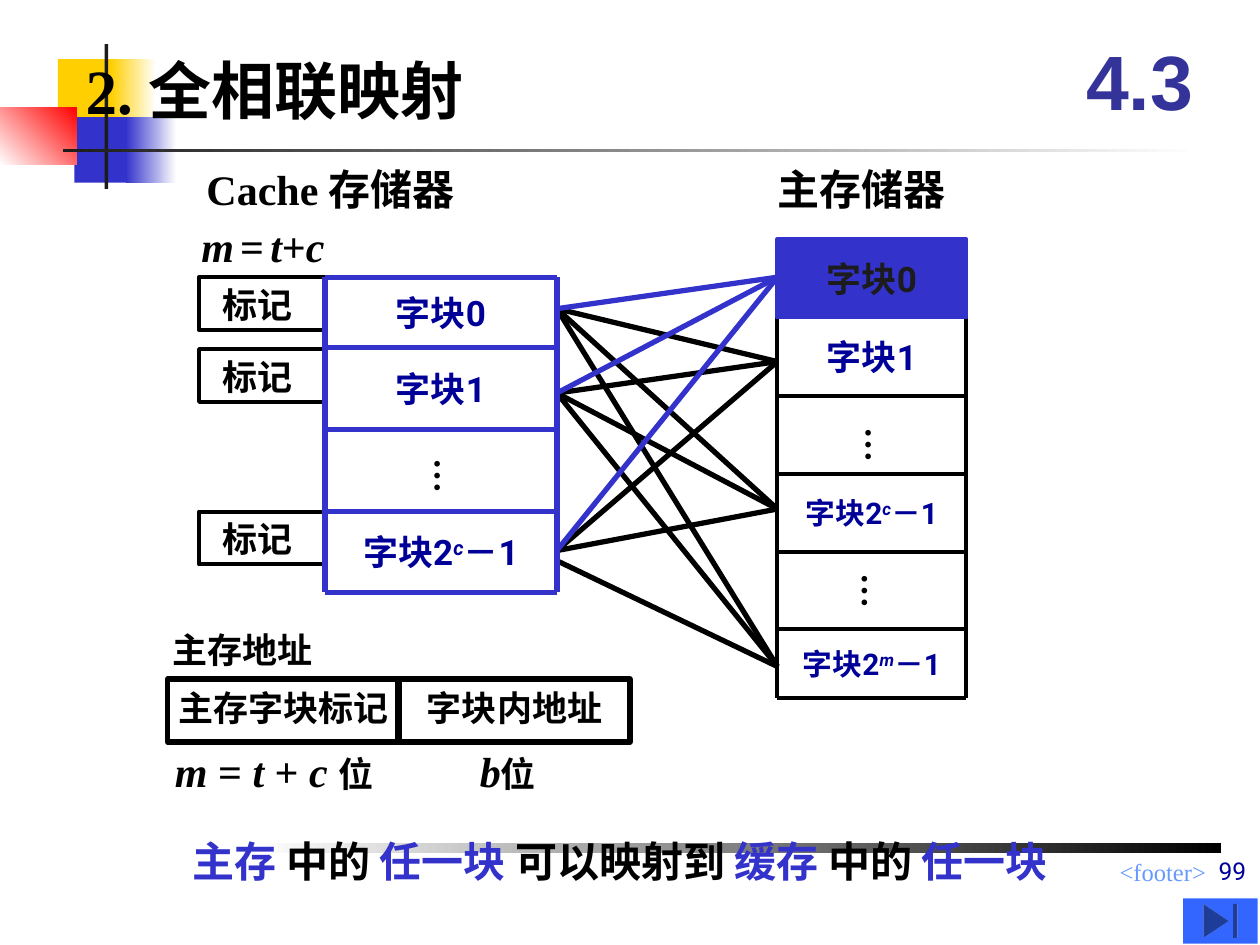
import pptx
import pptx.dml.color
import pptx.enum.shapes
import pptx.enum.text
import pptx.oxml
import pptx.oxml.ns
import pptx.util

Inches = pptx.util.Inches
Pt = pptx.util.Pt
RGBColor = pptx.dml.color.RGBColor
SHAPE = pptx.enum.shapes.MSO_SHAPE
ALIGN = pptx.enum.text.PP_ALIGN
ANCHOR = pptx.enum.text.MSO_ANCHOR

BLACK = RGBColor(0x00, 0x00, 0x00)
WHITE = RGBColor(0xFF, 0xFF, 0xFF)
CHARCOAL = RGBColor(0x1C, 0x1C, 0x1C)
YELLOW = RGBColor(0xFF, 0xCF, 0x01)
RED = RGBColor(0xFF, 0x00, 0x00)
BLUE = RGBColor(0x33, 0x33, 0xCC)
NAVY = RGBColor(0x00, 0x00, 0x99)
SECTION_BLUE = RGBColor(0x33, 0x33, 0x99)
BUTTON_BLUE = RGBColor(0x33, 0x66, 0xFF)
FOOTER_BLUE = RGBColor(0x66, 0x99, 0xFF)

SERIF = "Times New Roman"
CELL_FONT = "Roboto"

CACHE_LEFT, CACHE_RIGHT = 2.58, 4.42
CACHE_EDGES = [2.2, 2.76, 3.41, 4.06, 4.7]
MEMORY_LEFT, MEMORY_RIGHT = 6.17, 7.67
MEMORY_EDGES = [1.9, 2.52, 3.14, 3.76, 4.38, 4.99, 5.54]
CACHE_PORTS = [2.45, 3.12, 4.37]
MEMORY_PORTS = [2.87, 4.04, 5.29]
FIRST_BLOCK_PORT = 2.2


def write_text(shape, runs, size, font=SERIF, color=BLACK, bold=True,
               align=ALIGN.LEFT, anchor=ANCHOR.TOP, wrap=True, inset=(0.1, 0.05)):
    """Fill a shape with one paragraph; runs is a string or (text, options) pairs."""
    frame = shape.text_frame
    frame.word_wrap = wrap
    frame.auto_size = pptx.enum.text.MSO_AUTO_SIZE.NONE
    frame.vertical_anchor = anchor
    frame.margin_left = frame.margin_right = Inches(inset[0])
    frame.margin_top = frame.margin_bottom = Inches(inset[1])
    paragraph = frame.paragraphs[0]
    paragraph.alignment = align
    paragraph.font.size = Pt(size)
    paragraph.font.name = font
    paragraph.font.bold = bold
    paragraph.font.color.rgb = color
    for text, options in [(runs, {})] if isinstance(runs, str) else runs:
        run = paragraph.add_run()
        run.text = text
        if "size" in options:
            run.font.size = Pt(options["size"])
        if "color" in options:
            run.font.color.rgb = options["color"]
        if "italic" in options:
            run.font.italic = options["italic"]
        if "baseline" in options:
            run.font._element.set("baseline", str(options["baseline"]))
    return frame


def add_text(slide, box, runs, size, **options):
    shape = slide.shapes.add_textbox(*map(Inches, box))
    return write_text(shape, runs, size, **options)


def add_box(slide, box, fill=None, fade=None, line=None, width=2.25, kind=SHAPE.RECTANGLE):
    """Add a shape; fade is (first color, last color, counter-clockwise angle)."""
    shape = slide.shapes.add_shape(kind, *map(Inches, box))
    shape.shadow.inherit = False
    if fade:
        shape.fill.gradient()
        shape.fill.gradient_angle = fade[2]
        for stop, color in zip(shape.fill.gradient_stops, fade):
            stop.color.rgb = color
    elif fill is not None:
        shape.fill.solid()
        shape.fill.fore_color.rgb = fill
    else:
        shape.fill.background()
    if line is not None:
        shape.line.color.rgb = line
        shape.line.width = Pt(width)
    else:
        shape.line.fill.background()
    return shape


def add_line(slide, start, end, color, width):
    ends = [Inches(value) for value in (*start, *end)]
    line = slide.shapes.add_connector(pptx.enum.shapes.MSO_CONNECTOR.STRAIGHT, *ends)
    line.line.color.rgb = color
    line.line.width = Pt(width)
    properties = line._element.spPr
    properties.append(pptx.oxml.parse_xml(
        f"<a:effectLst {pptx.oxml.ns.nsdecls('a')}/>"))


def add_ladder(slide, left, right, edges, color, width):
    """Rule a one-column stack of cells."""
    for y in edges:
        add_line(slide, (left, y), (right, y), color, width)
    for x in (left, right):
        add_line(slide, (x, edges[0]), (x, edges[-1]), color, width)


def add_ellipsis(slide, left, top):
    frame = add_text(slide, (left, top, 0.53, 0.38), "…", 20, wrap=False, inset=(0.05, 0.1))
    frame._txBody.bodyPr.set("vert", "eaVert")


def last_block(exponent):
    return [("字块2", {}), (exponent, {"italic": True, "baseline": 30000}), ("－1", {})]


def add_cell_text(slide, left, right, top, bottom, runs, size):
    add_text(slide, (left, top, right - left, bottom - top), runs, size, font=CELL_FONT,
             color=NAVY, align=ALIGN.CENTER, anchor=ANCHOR.MIDDLE, inset=(0.1, 0))


def add_decoration(slide):
    add_box(slide, (0.46, 0.47, 0.48, 0.52), YELLOW)
    add_box(slide, (0.88, 0.47, 0.36, 0.52), fade=(WHITE, YELLOW, 180))
    add_box(slide, (0.59, 0.93, 0.46, 0.52), BLUE)
    add_box(slide, (1, 0.93, 0.4, 0.52), fade=(WHITE, BLUE, 180))
    add_box(slide, (0, 0.85, 0.61, 0.46), fade=(RED, WHITE, 225))
    add_box(slide, (0.83, 0.35, 0.03, 1.15), CHARCOAL)
    add_box(slide, (0.5, 1.18, 9, 0.03), fade=(WHITE, CHARCOAL, 180))
    add_box(slide, (2.02, 6.69, 7.67, 0.08), fade=(BLACK, WHITE, 180))


def add_title(slide):
    title = slide.shapes.title
    title.left, title.top, title.width, title.height = map(Inches, (0.58, 0.36, 4.26, 0.7))
    write_text(title, "2. 全相联映射", 36)
    slide.shapes._spTree.append(title._element)  # in front of the decoration


def add_mapping_lines(slide):
    for index, cache_y in enumerate(CACHE_PORTS):
        for memory_y in MEMORY_PORTS:
            last_pair = index == 2 and memory_y == MEMORY_PORTS[-1]
            start_y = cache_y + 0.08 if last_pair else cache_y
            add_line(slide, (CACHE_RIGHT, start_y), (MEMORY_LEFT, memory_y), BLACK, 3)
    for cache_y in CACHE_PORTS:
        add_line(slide, (CACHE_RIGHT, cache_y), (MEMORY_LEFT, FIRST_BLOCK_PORT), BLUE, 3)


def add_cache(slide):
    add_text(slide, (1.54, 1.25, 2.25, 0.5), "Cache 存储器", 24, wrap=False)
    italic, small = {"italic": True}, {"size": 14}
    add_text(slide, (1.5, 1.7, 1.17, 0.5),
             [("m", italic), (" ", small), ("=", {}), (" ", small),
              ("t", italic), ("+", {}), ("c", italic)], 24, wrap=False)
    for top in (2.2, 2.77, 4.06):
        add_box(slide, (1.58, top, 1, 0.42), line=BLACK)
        add_text(slide, (1.67, top, 0.75, 0.44), "标记", 20, wrap=False)
    for row, runs in ((0, "字块0"), (1, "字块1"), (3, last_block("c"))):
        add_cell_text(slide, CACHE_LEFT, CACHE_RIGHT, *CACHE_EDGES[row:row + 2], runs, 20)
    add_ellipsis(slide, 3.25, 3.54)
    add_ladder(slide, CACHE_LEFT, CACHE_RIGHT, CACHE_EDGES, BLUE, 3)


def add_main_memory(slide):
    add_text(slide, (6.07, 1.25, 1.53, 0.5), "主存储器", 24, wrap=False)
    add_ladder(slide, MEMORY_LEFT, MEMORY_RIGHT, MEMORY_EDGES[1:], BLACK, 2.25)
    for row, runs, size in ((1, "字块1", 20), (3, last_block("c"), 17), (5, last_block("m"), 17)):
        add_cell_text(slide, MEMORY_LEFT, MEMORY_RIGHT, *MEMORY_EDGES[row:row + 2], runs, size)
    add_ellipsis(slide, 6.67, 3.29)
    add_ellipsis(slide, 6.64, 4.45)
    first_block = add_box(slide, (MEMORY_LEFT, 1.9, 1.5, 0.62), BLUE, line=BLUE)
    write_text(first_block, "字块0", 20, font=CELL_FONT, color=CHARCOAL,
               align=ALIGN.CENTER, anchor=ANCHOR.MIDDLE, inset=(0.1, 0))


def add_address(slide):
    italic = {"italic": True}
    add_text(slide, (1.27, 4.94, 1.31, 0.44), "主存地址", 20, wrap=False)
    for left in (1.33, 3.17):
        add_box(slide, (left, 5.39, 1.83, 0.5), line=BLACK, width=3)
    add_text(slide, (1.32, 5.4, 1.87, 0.44), "主存字块标记", 20, wrap=False)
    add_text(slide, (3.29, 5.4, 1.59, 0.44), "字块内地址", 20, wrap=False)
    add_text(slide, (1.29, 5.87, 1.85, 0.5),
             [("m", italic), (" = ", {}), ("t", italic), (" + ", {}),
              ("c ", italic), ("位", {"size": 20})], 24, wrap=False)
    add_text(slide, (3.71, 5.87, 0.72, 0.5),
             [("b", italic), ("位", {"size": 20})], 24, wrap=False)


def add_conclusion(slide):
    blue = {"color": BLUE}
    add_text(slide, (1.43, 6.58, 8.07, 0.5),
             [("主存 ", blue), ("中的 ", {}), ("任一块 ", blue), ("可以映射到 ", {}),
              ("缓存 ", blue), ("中的 ", {}), ("任一块", blue)], 24)


def main():
    presentation = pptx.Presentation()
    presentation.slide_width = Inches(10)
    presentation.slide_height = Inches(7.5)
    slide = presentation.slides.add_slide(presentation.slide_layouts[5])
    add_decoration(slide)
    add_text(slide, (3.92, 6.75, 5.75, 0.26), "<footer>", 14, color=FOOTER_BLUE,
             bold=False, align=ALIGN.RIGHT)
    add_title(slide)
    add_conclusion(slide)
    add_mapping_lines(slide)
    add_cache(slide)
    add_main_memory(slide)
    add_address(slide)
    add_text(slide, (8.42, 0.17, 1.25, 0.92), "4.3", 44, font="Arial", color=SECTION_BLUE,
             align=ALIGN.CENTER, anchor=ANCHOR.MIDDLE)
    add_box(slide, (9.39, 7.13, 0.59, 0.36), BUTTON_BLUE, kind=SHAPE.ACTION_BUTTON_END)
    add_text(slide, (5.21, 6.58, 4.78, 0.5), "99", 14, font=CELL_FONT, color=NAVY,
             bold=False, align=ALIGN.RIGHT, anchor=ANCHOR.BOTTOM)
    presentation.save("out.pptx")


if __name__ == "__main__":
    main()
